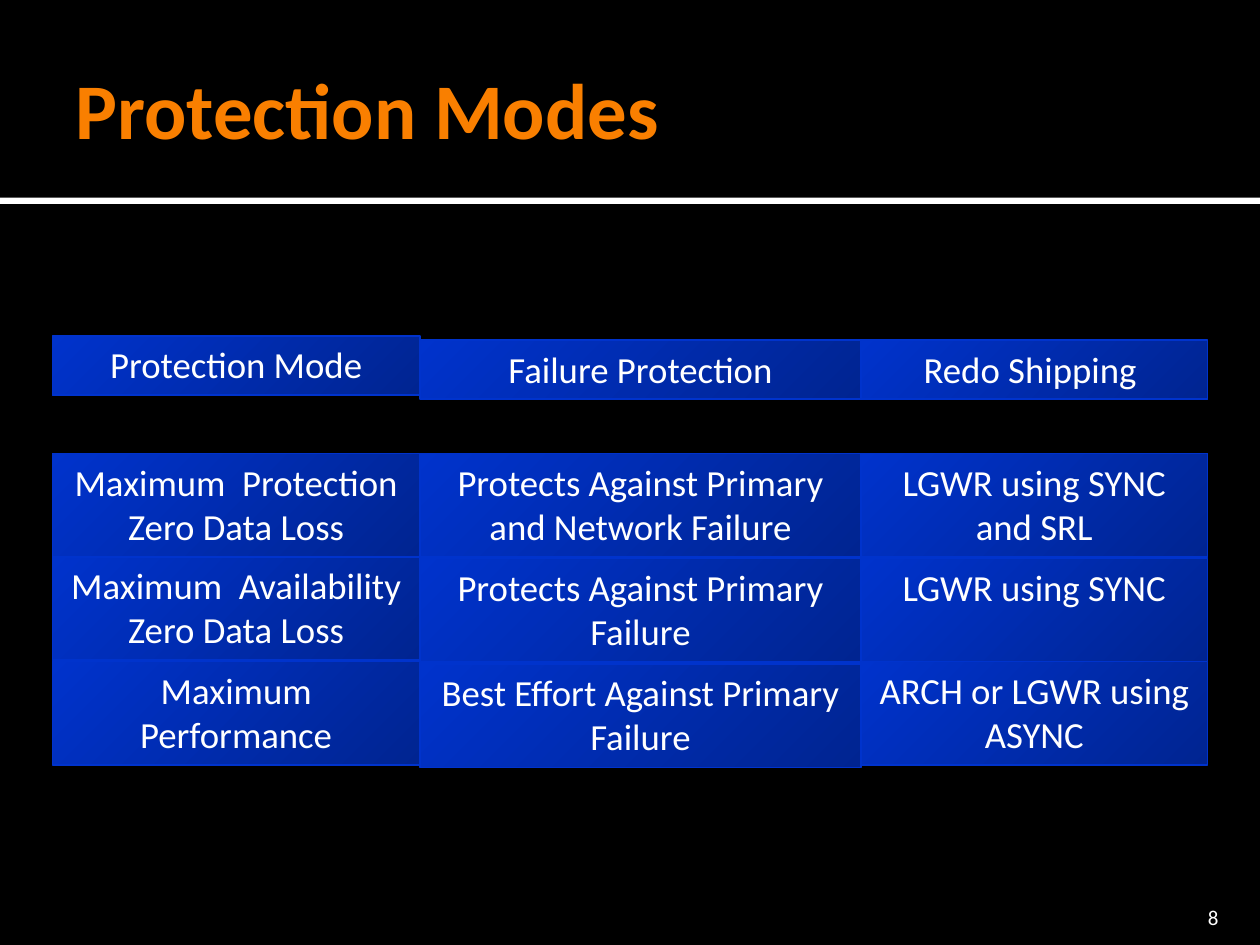
import pptx
import pptx.dml.color
import pptx.enum.shapes
import pptx.enum.text
import pptx.oxml
import pptx.oxml.ns
import pptx.util

Pt = pptx.util.Pt
ALIGN = pptx.enum.text.PP_ALIGN
ANCHOR = pptx.enum.text.MSO_ANCHOR
RECTANGLE = pptx.enum.shapes.MSO_SHAPE.RECTANGLE

COLORS = {"black": "000000", "white": "FFFFFF", "orange": "F97F00", "blue": "0033CC"}
FONT = "Calibri"
HEADER_HEIGHT, CELL_HEIGHT = 33.8, 59.2

# Each column: left, width, tops of its boxes, then the lines of each box
COLUMNS = [
    (30, 210, (192, 259.2, 318.2, 378), (
        ["Protection Mode"],
        ["Maximum  Protection", "Zero Data Loss"],
        ["Maximum  Availability", "Zero Data Loss"],
        ["Maximum Performance"])),
    (240, 252, (194.4, 259.2, 319.2, 379.4), (
        ["Failure Protection"],
        ["Protects Against Primary and Network Failure"],
        ["Protects Against Primary Failure"],
        ["Best Effort Against Primary Failure"])),
    (492, 198, (194.4, 259.2, 319.2, 378), (
        ["Redo Shipping "],
        ["LGWR using SYNC and SRL"],
        ["LGWR using SYNC"],
        ["ARCH or LGWR using ASYNC"])),
]


def rgb(name):
    return pptx.dml.color.RGBColor.from_string(COLORS[name])


def write(shape, lines, size, color, align, anchor, insets, bold=False):
    frame = shape.text_frame
    frame.word_wrap = True
    frame.auto_size = pptx.enum.text.MSO_AUTO_SIZE.NONE
    frame.vertical_anchor = anchor
    (frame.margin_left, frame.margin_top,
     frame.margin_right, frame.margin_bottom) = [Pt(inset) for inset in insets]
    for index, line in enumerate(lines):
        para = frame.add_paragraph() if index else frame.paragraphs[0]
        para.alignment = align
        span = para.add_run()
        span.text = line
        span.font.name = FONT
        span.font.size = Pt(size)
        span.font.bold = bold
        span.font.color.rgb = rgb(color)


def add_rectangle(page, box):
    shape = page.shapes.add_shape(RECTANGLE, *[Pt(length) for length in box])
    shape.shadow.inherit = False
    return shape


def add_rule(page, box):
    rule = add_rectangle(page, box)
    rule.fill.solid()
    rule.fill.fore_color.rgb = rgb("white")
    rule.line.fill.background()


def place_title(page, box):
    title = page.shapes.title
    title.left, title.top, title.width, title.height = [Pt(length) for length in box]
    write(title, ["Protection Modes"], 45, "orange", ALIGN.LEFT, ANCHOR.MIDDLE,
          (7.2, 3.6, 3.6, 3.6), bold=True)


def add_cell(page, box, lines):
    cell = add_rectangle(page, box)
    cell.fill.gradient()
    cell.fill.gradient_angle = 315
    for stop in cell.fill.gradient_stops:
        stop.color.rgb = rgb("blue")
    # Shade the last stop of the gradient
    last_color = cell._element.spPr.findall(".//" + pptx.oxml.ns.qn("a:srgbClr"))[-1]
    last_color.append(pptx.oxml.parse_xml(
        f'<a:shade {pptx.oxml.ns.nsdecls("a")} val="46275"/>'))
    cell.line.color.rgb = rgb("blue")
    cell.line.width = Pt(1)
    write(cell, lines, 21, "white", ALIGN.CENTER, ANCHOR.TOP, (7.2, 3.6, 7.2, 3.6))


def add_column(page, left, width, tops, texts):
    for row, (top, lines) in enumerate(zip(tops, texts)):
        height = CELL_HEIGHT if row else HEADER_HEIGHT
        add_cell(page, (left, top, width, height), lines)


def add_page_number(page, box):
    number = page.shapes.add_textbox(*[Pt(length) for length in box])
    write(number, ["8"], 12, "white", ALIGN.RIGHT, ANCHOR.BOTTOM, (7.2, 3.6, 7.2, 0))


def main():
    deck = pptx.Presentation()
    deck.slide_width, deck.slide_height = Pt(720), Pt(540)
    page = deck.slides.add_slide(deck.slide_layouts.get_by_name("Title Only"))
    page.background.fill.solid()
    page.background.fill.fore_color.rgb = rgb("black")

    # Heading and the rule below it
    add_rule(page, (0, 113, 720, 3.6))
    place_title(page, (36, 12.2, 648, 98.6))

    # Comparison of the modes
    for column in COLUMNS:
        add_column(page, *column)

    # Footer
    add_page_number(page, (645.8, 509.8, 57.6, 21.6))
    deck.save("out.pptx")


if __name__ == "__main__":
    main()
